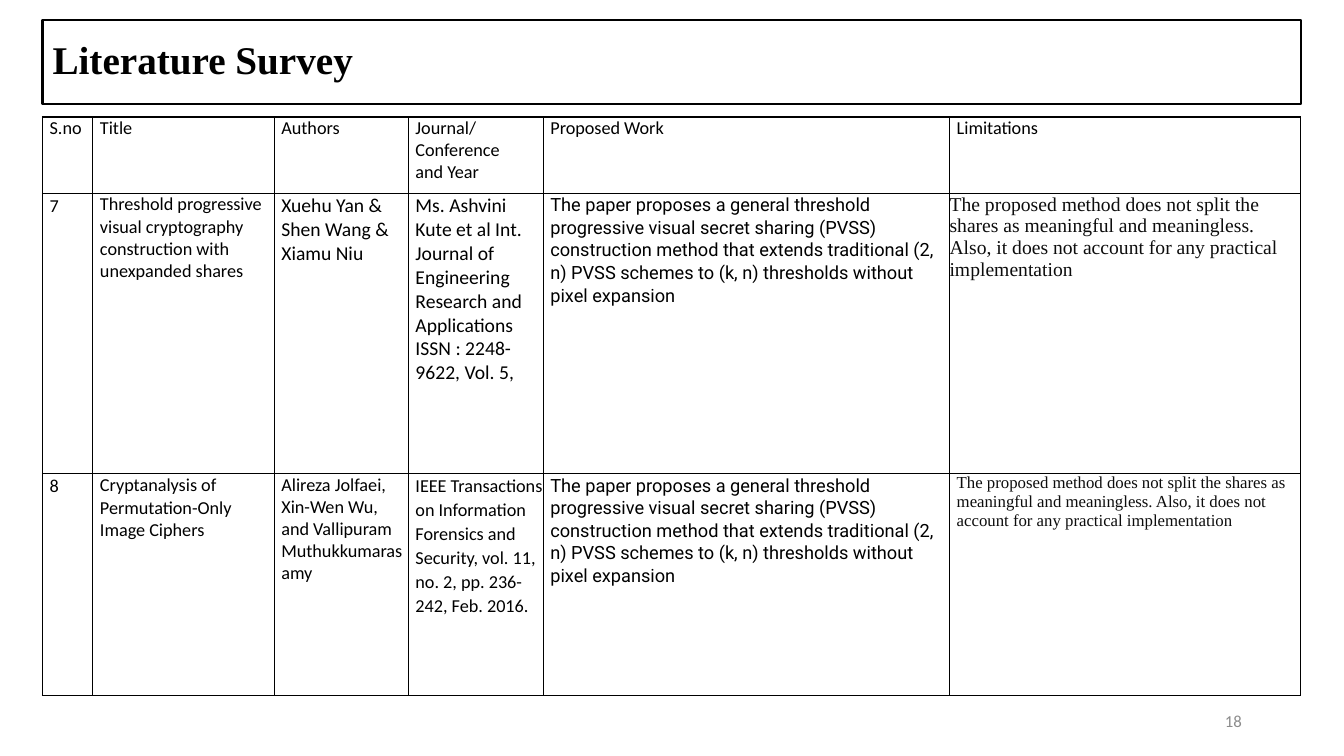
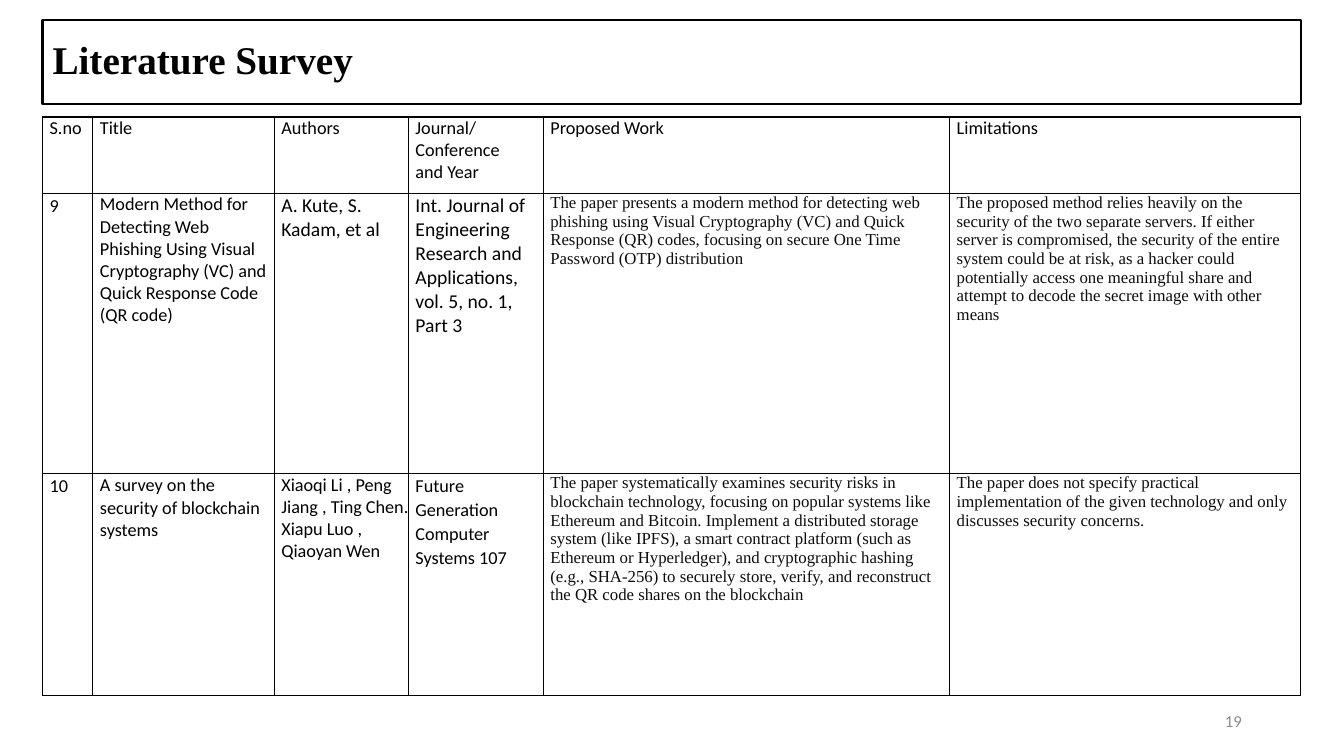
from lxml import etree
from pptx import Presentation
from pptx.dml.color import RGBColor
from pptx.enum.text import MSO_ANCHOR, MSO_AUTO_SIZE, PP_ALIGN
from pptx.oxml.ns import qn
from pptx.util import Cm, Pt

COLOURS = {
    "ink": "000000",
    "soft_ink": "0D0D0D",
    "paper": "FFFFFF",
    "number": "8C8C8C",
}
LEFT, WIDTH = 1.07, 31.72
COLUMN_WIDTHS = [1.27, 4.57, 3.38, 3.4, 10.24, 8.84]
ROW_HEIGHTS = [1.93, 7.06, 5.59]
INDENT = 0.18


def text_style(size, name="Calibri", colour="ink", bold=False, spacing=None, left=INDENT, right=0):
    return {
        "font": {"size": Pt(size), "name": name, "bold": bold},
        "colour": colour,
        "spacing": spacing,
        "margins": {
            "margin_left": Cm(left),
            "margin_right": Cm(right),
            "margin_top": 0,
            "margin_bottom": 0,
        },
    }


STYLES = {
    "title": text_style(28, "Times New Roman", bold=True, spacing=0.9),
    "page": text_style(12, colour="number"),
    "plain": text_style(13),
    "tight": text_style(13, spacing=Pt(16.1)),
    "loose": text_style(13, spacing=Pt(17.1)),
    "large": text_style(14),
    "large_loose": text_style(14, spacing=Pt(17.1)),
    "roboto": text_style(13, "Roboto", spacing=Pt(16.1)),
    "serif": text_style(12, "Times New Roman", "soft_ink", right=INDENT),
    "large_serif": text_style(14, "Times New Roman", "soft_ink", left=0),
}
HEADINGS = ["S.no", "Title", "Authors", "Journal/ Conference\nand Year", "Proposed Work", "Limitations"]
FIRST_PAPER = ["loose", "plain", "large", "large_loose"]
SECOND_PAPER = ["loose", "tight", "plain", "loose"]

THRESHOLD_WORK = (
    "The paper proposes a general threshold progressive visual secret sharing (PVSS) "
    "construction method that extends traditional (2, n) PVSS schemes to (k, n) "
    "thresholds without pixel expansion"
)
THRESHOLD_LIMITS = (
    "The proposed method does not split the shares as meaningful and meaningless. "
    "Also, it does not account for any practical implementation"
)

SURVEYS = [
    {
        "page": "18",
        "papers": [
            ["7", "Threshold progressive visual cryptography construction with unexpanded shares",
             "Xuehu Yan & Shen Wang & Xiamu Niu",
             "Ms. Ashvini Kute et al Int. Journal of Engineering Research and Applications "
             "ISSN : 2248-9622, Vol. 5,",
             THRESHOLD_WORK, THRESHOLD_LIMITS],
            ["8", "Cryptanalysis of Permutation-Only Image Ciphers",
             "Alireza Jolfaei, Xin-Wen Wu, and Vallipuram Muthukkumarasamy",
             "IEEE Transactions on Information Forensics and Security, vol. 11, no. 2, "
             "pp. 236-242, Feb. 2016.",
             THRESHOLD_WORK, THRESHOLD_LIMITS],
        ],
        "styles": [FIRST_PAPER + ["roboto", "large_serif"], SECOND_PAPER + ["roboto", "serif"]],
    },
    {
        "page": "19",
        "papers": [
            ["9", "Modern Method for Detecting Web Phishing Using Visual Cryptography (VC) "
             "and Quick Response Code (QR code)",
             "A. Kute, S. Kadam, et al",
             "Int. Journal of Engineering Research and Applications, vol. 5, no. 1, Part 3",
             "The paper presents a modern method for detecting web phishing using Visual "
             "Cryptography (VC) and Quick Response (QR) codes, focusing on secure One Time "
             "Password (OTP) distribution",
             "The proposed method relies heavily on the security of the two separate servers. "
             "If either server is compromised, the security of the entire system could be at "
             "risk, as a hacker could potentially access one meaningful share and attempt to "
             "decode the secret image with other means"],
            ["10", "A survey on the security of blockchain systems",
             "Xiaoqi Li , Peng Jiang , Ting Chen. Xiapu Luo , Qiaoyan Wen",
             "Future Generation Computer Systems 107",
             "The paper systematically examines security risks in blockchain technology, "
             "focusing on popular systems like Ethereum and Bitcoin. Implement a distributed "
             "storage system (like IPFS), a smart contract platform (such as Ethereum or "
             "Hyperledger), and cryptographic hashing (e.g., SHA-256) to securely store, "
             "verify, and reconstruct the QR code shares on the blockchain",
             "The paper does not specify practical implementation of the given technology and "
             "only discusses security concerns."],
        ],
        "styles": [FIRST_PAPER + ["serif", "serif"], SECOND_PAPER + ["serif", "serif"]],
    },
]


def colour(name):
    return RGBColor.from_string(COLOURS[name])


def set_values(target, values):
    for name, value in values.items():
        setattr(target, name, value)


class Deck:
    """The presentation, its shared style and the current slide."""

    def __init__(self):
        self.presentation = Presentation()
        set_values(self.presentation, {"slide_width": Cm(33.87), "slide_height": Cm(19.05)})
        self.slide = None

    def new_slide(self):
        self.slide = self.presentation.slides.add_slide(self.presentation.slide_layouts[5])

    def put_text(self, text_frame, text, style_name, alignment=PP_ALIGN.LEFT):
        style = STYLES[style_name]
        text_frame.text = text
        for paragraph in text_frame.paragraphs:
            paragraph.alignment = alignment
            paragraph.line_spacing = style["spacing"]
            for run in paragraph.runs:
                set_values(run.font, style["font"])
                run.font.color.rgb = colour(style["colour"])

    def title(self, text):
        shape = self.slide.shapes.title
        set_values(shape, {"left": Cm(LEFT), "top": Cm(0.51), "width": Cm(WIDTH), "height": Cm(2.11)})
        shape.line.color.rgb = colour("ink")
        shape.line.width = Pt(1.5)
        set_values(shape.text_frame, {"auto_size": MSO_AUTO_SIZE.NONE, "word_wrap": True,
                                      "vertical_anchor": MSO_ANCHOR.MIDDLE})
        self.put_text(shape.text_frame, text, "title")

    def page_number(self, text):
        shape = self.slide.shapes.add_textbox(Cm(23.93), Cm(17.65), Cm(7.62), Cm(1.02))
        set_values(shape.text_frame, {"word_wrap": True, "vertical_anchor": MSO_ANCHOR.MIDDLE})
        self.put_text(shape.text_frame, text, "page", PP_ALIGN.RIGHT)

    def table(self, rows, styles):
        frame = self.slide.shapes.add_table(len(rows), len(COLUMN_WIDTHS), Cm(LEFT), Cm(2.95),
                                            Cm(WIDTH), Cm(sum(ROW_HEIGHTS)))
        table = frame.table
        set_values(table, {"first_row": False, "horz_banding": False})
        for column, width in zip(table.columns, COLUMN_WIDTHS):
            column.width = Cm(width)
        for row, height, texts, names in zip(table.rows, ROW_HEIGHTS, rows, styles):
            row.height = Cm(height)
            for cell, text, name in zip(row.cells, texts, names):
                self.cell(cell, text, name)

    def cell(self, cell, text, style_name):
        set_values(cell, STYLES[style_name]["margins"])
        self.put_text(cell.text_frame, text, style_name)
        self.borders(cell)
        cell.fill.solid()
        cell.fill.fore_color.rgb = colour("paper")

    def borders(self, cell):
        properties = cell._tc.get_or_add_tcPr()
        for side in ("a:lnL", "a:lnR", "a:lnT", "a:lnB"):
            line = etree.SubElement(properties, qn(side), w=str(Pt(1)))
            fill = etree.SubElement(line, qn("a:solidFill"))
            etree.SubElement(fill, qn("a:srgbClr"), val=COLOURS["ink"])


def main():
    deck = Deck()
    for survey in SURVEYS:
        deck.new_slide()
        deck.page_number(survey["page"])
        deck.title("Literature Survey")
        deck.table([HEADINGS] + survey["papers"], [["plain"] * len(HEADINGS)] + survey["styles"])
    deck.presentation.save("out.pptx")


if __name__ == "__main__":
    main()
